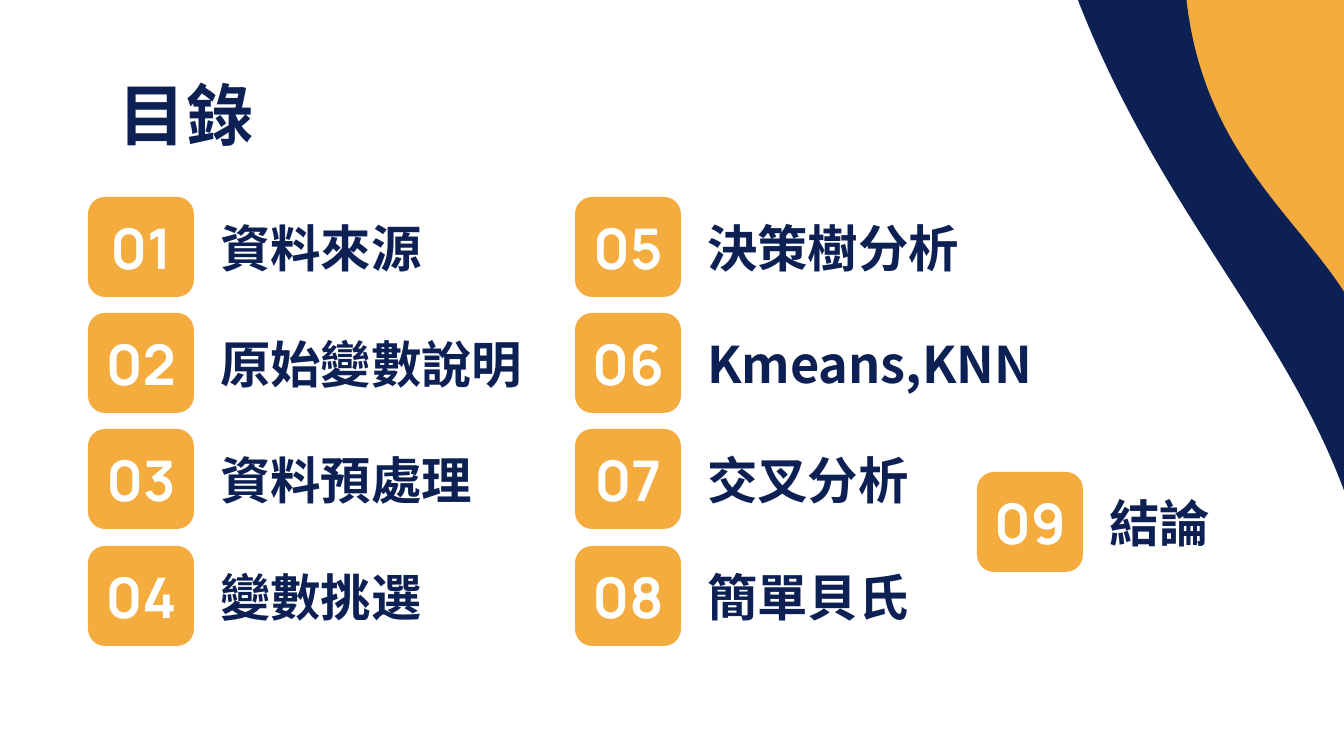
from lxml import etree
from pptx import Presentation
from pptx.dml.color import RGBColor
from pptx.enum import shapes, text
from pptx.oxml import ns
from pptx.util import Pt

PX = 914400 / 134.4
NAVY = RGBColor(0x0C, 0x20, 0x54)
ORANGE = RGBColor(0xF3, 0xAC, 0x3D)
WHITE = RGBColor(0xFF, 0xFF, 0xFF)

TITLE = "目錄"
COLUMNS = [
    (88, 197, ["資料來源", "原始變數說明", "資料預處理", "變數挑選"]),
    (575, 197, ["決策樹分析", "Kmeans,KNN", "交叉分析", "簡單貝氏"]),
    (977, 472, ["結論"]),
]
WAVES = [
    ((626, -184, 586, 931), 267, NAVY),
    ((-75, -368, 1361, 1535), 264.8, WHITE),
]
FOUR_ROWS = 349
TILE_W, TILE_H = 106, 100
LABEL_DX, LABEL_W = 119, 395
NUMBER_DX, NUMBER_W = -2, 110
TEXT_DY, TEXT_H = 11, 78

CJK = "Noto Sans CJK SC"
TITLE_FONT = {"name": CJK, "size": Pt(36), "bold": True}
LABEL_FONT = {"name": CJK, "size": Pt(27), "bold": True}
NUMBER_FONT = {"name": "Manrope", "size": Pt(30), "bold": True}


def emu(*lengths):
    return [round(n * PX) for n in lengths]


def add_shape(s, kind, box, color):
    sp = s.shapes.add_shape(kind, *emu(*box))
    sp.shadow.inherit = False
    sp.fill.solid()
    sp.fill.fore_color.rgb = color
    sp.line.fill.background()
    return sp


def add_text(s, words, box, font, color, align=text.PP_ALIGN.LEFT):
    tf = s.shapes.add_textbox(*emu(*box)).text_frame
    inset = emu(13)[0]
    frame = {"word_wrap": True, "vertical_anchor": text.MSO_ANCHOR.MIDDLE}
    frame.update({f"margin_{side}": inset for side in ("left", "right", "top", "bottom")})
    for key, value in frame.items():
        setattr(tf, key, value)
    p = tf.paragraphs[0]
    p.alignment = align
    r = p.add_run()
    r.text = words
    r.font.color.rgb = color
    for key, value in font.items():
        setattr(r.font, key, value)
    ea = etree.SubElement(r.font._element, ns.qn("a:ea"))
    ea.set("typeface", font["name"])


def main():
    prs = Presentation()
    prs.slide_width, prs.slide_height = emu(1344, 756)
    s = prs.slides.add_slide(prs.slide_layouts[6])
    s.background.fill.solid()
    s.background.fill.fore_color.rgb = ORANGE

    for box, angle, color in WAVES:
        add_shape(s, shapes.MSO_SHAPE.FLOWCHART_DOCUMENT, box, color).rotation = angle

    add_text(s, TITLE, (106, 78, 1133, 71), TITLE_FONT, NAVY)

    number = 0
    for left, first_top, labels in COLUMNS:
        for row, label in enumerate(labels):
            number += 1
            top = first_top + row * FOUR_ROWS // 3
            text_top = top + TEXT_DY
            add_text(s, label, (left + LABEL_DX, text_top, LABEL_W, TEXT_H), LABEL_FONT, NAVY)
            tile = add_shape(s, shapes.MSO_SHAPE.ROUNDED_RECTANGLE,
                             (left, top, TILE_W, TILE_H), ORANGE)
            tile.adjustments[0] = 0.17
            add_text(s, f"{number:02d}", (left + NUMBER_DX, text_top, NUMBER_W, TEXT_H),
                     NUMBER_FONT, WHITE, text.PP_ALIGN.CENTER)

    prs.save("out.pptx")


if __name__ == "__main__":
    main()
